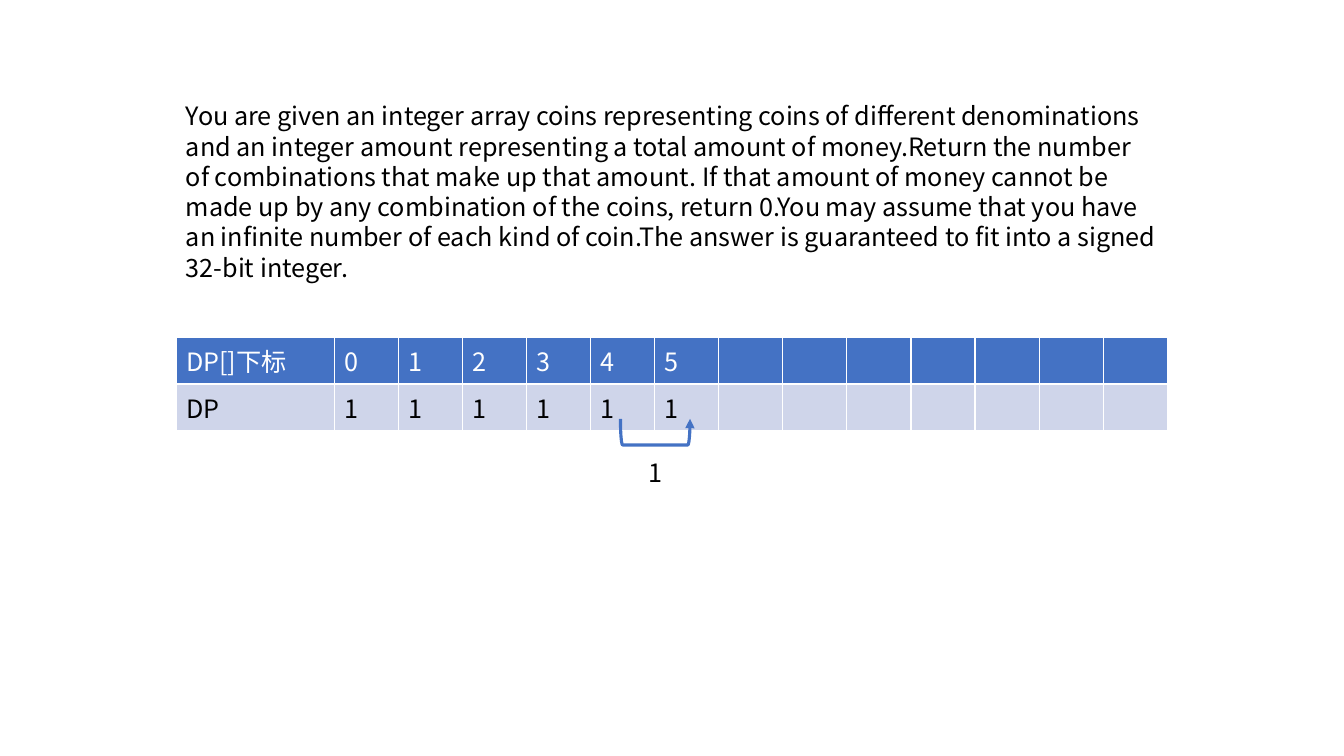
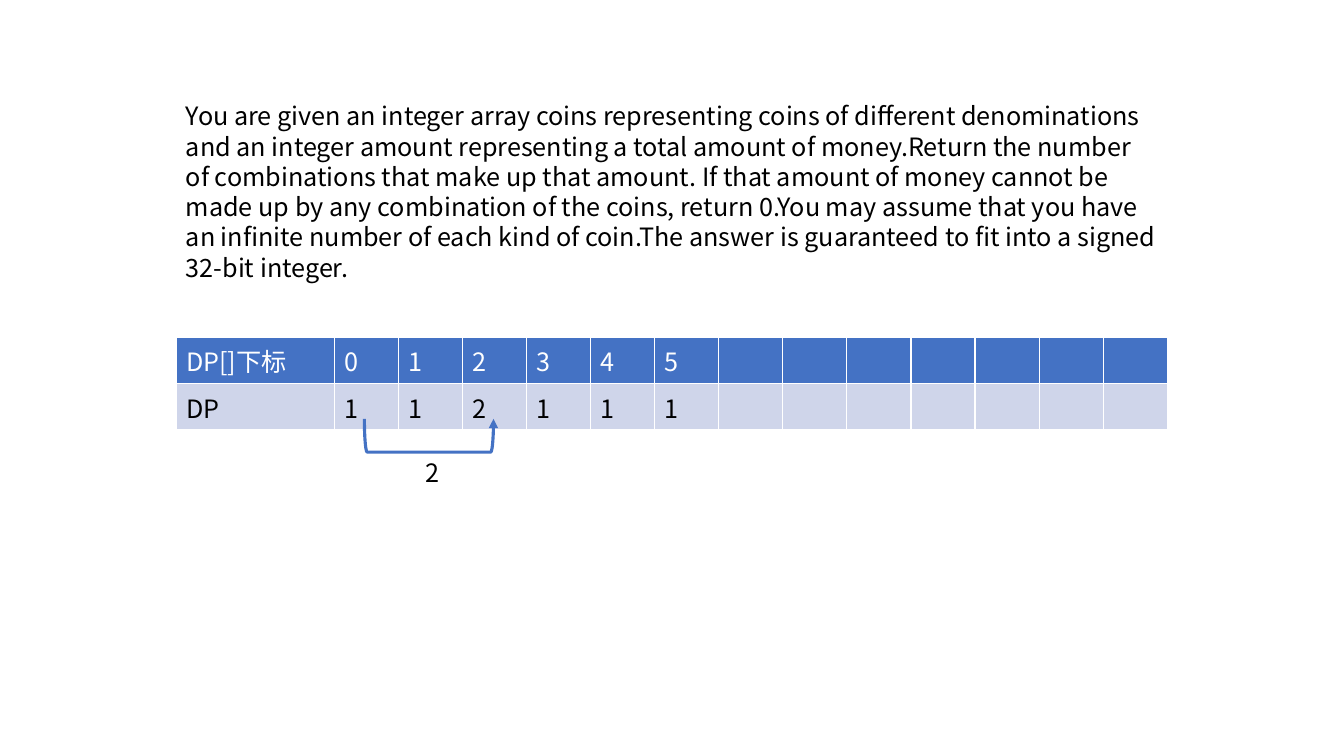
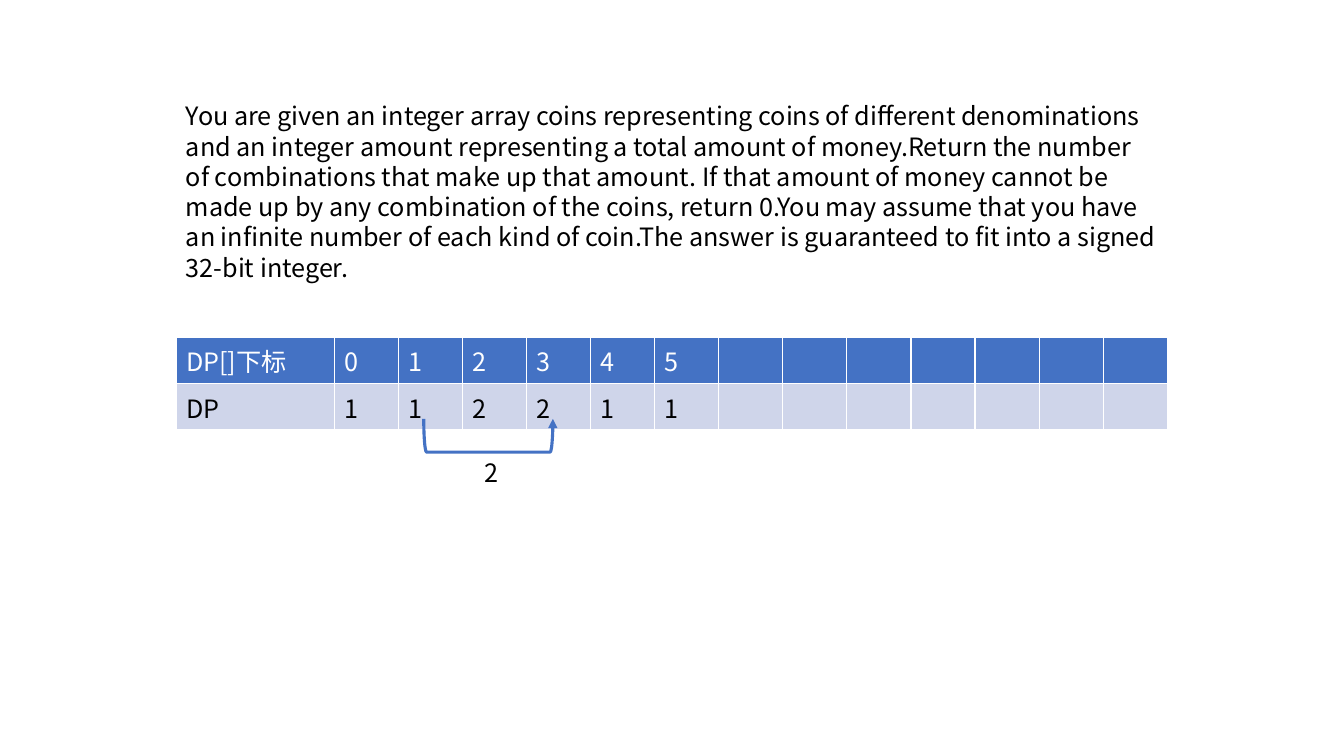
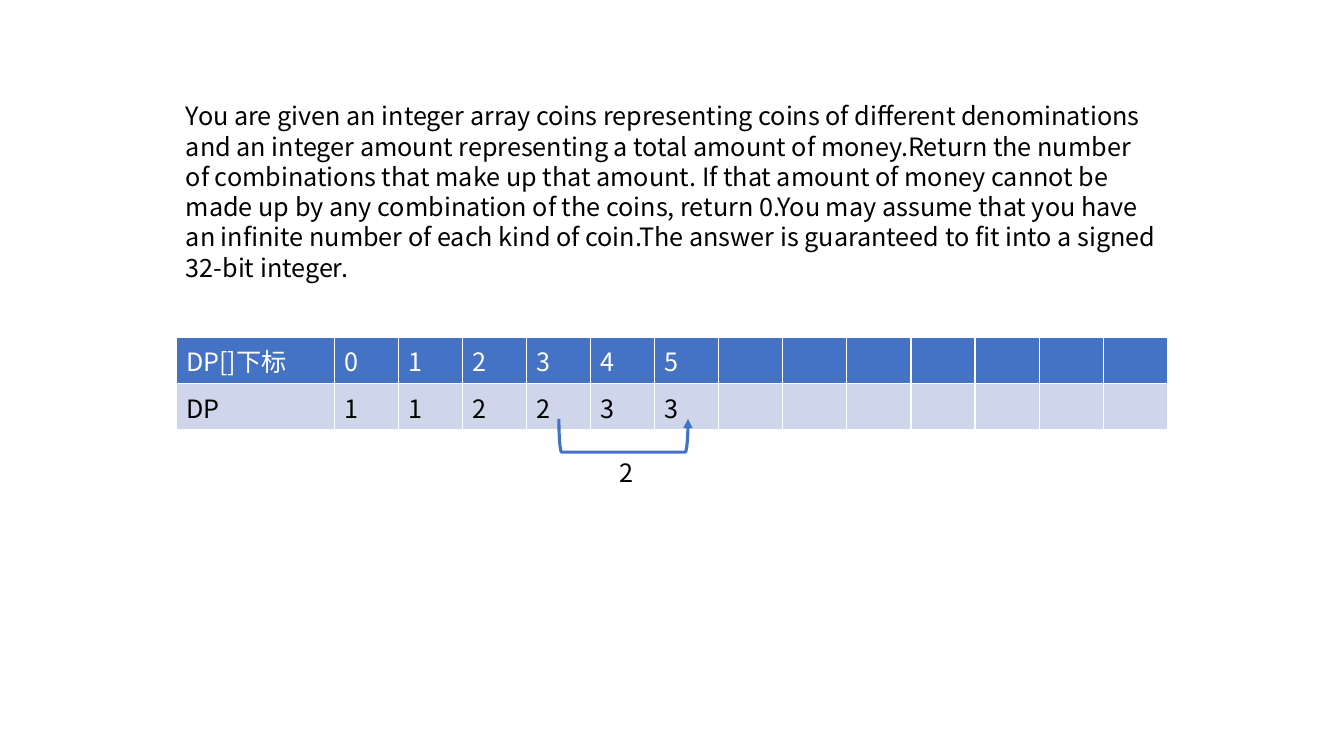
from dataclasses import dataclass

from lxml.etree import SubElement
from pptx import Presentation
from pptx.dml.color import RGBColor
from pptx.enum.shapes import MSO_SHAPE as Shape
from pptx.enum.text import MSO_AUTO_SIZE as AutoSize
from pptx.oxml.ns import qn
from pptx.util import Pt

COLOURS = {"accent": "4472C4", "band": "CFD5EA", "white": "FFFFFF", "black": "000000"}
FONT = "Noto Sans CJK SC"
TEXT_SIZE = 18
LEFT, WIDTH = 125.7, 708.5
INDEX_COUNT = 13
CAPTION_WIDTH = 113
ROW_HEIGHT = 33.1
BRACKET_TOP = 299.2

PROBLEM = (
    "You are given an integer array coins representing coins of different denominations "
    "and an integer amount representing a total amount of money.Return the number of "
    "combinations that make up that amount. If that amount of money cannot be made up by "
    "any combination of the coins, return 0.You may assume that you have an infinite "
    "number of each kind of coin.The answer is guaranteed to fit into a signed 32-bit integer."
)


@dataclass
class Step:
    counts: str
    coin: str
    centre: float
    span: float
    depth: float
    coin_left: float


STEPS = [
    Step("111111", "1", 468, 49.7, 18.7, 455.8),
    Step("112111", "2", 306.4, 92.2, 23.8, 296.6),
    Step("112211", "2", 348.8, 92.2, 23.8, 339.1),
    Step("112233", "2", 445.3, 92.2, 23.8, 435.6),
]


def rgb(name):
    return RGBColor.from_string(COLOURS[name])


class Deck:
    def __init__(self):
        self.prs = Presentation()
        self.prs.slide_width, self.prs.slide_height = Pt(960), Pt(540)
        self.slide = None

    def new_slide(self):
        self.slide = self.prs.slides.add_slide(self.prs.slide_layouts[6])

    def style(self, paragraph, colour):
        for run in paragraph.runs:
            run.font.size = Pt(TEXT_SIZE)
            run.font.name = FONT
            run.font.color.rgb = rgb(colour)
            SubElement(run.font._element, qn("a:ea"), typeface=FONT)

    def text(self, words, left, top, width, height):
        box = self.slide.shapes.add_textbox(Pt(left), Pt(top), Pt(width), Pt(height))
        frame = box.text_frame
        frame.word_wrap = True
        frame.auto_size = AutoSize.SHAPE_TO_FIT_TEXT
        frame.text = words
        self.style(frame.paragraphs[0], "black")

    def border(self, cell):
        properties = cell._tc.get_or_add_tcPr()
        for position, side in enumerate(("lnL", "lnR", "lnT", "lnB")):
            line = SubElement(properties, qn(f"a:{side}"), w=str(Pt(1)))
            fill = SubElement(line, qn("a:solidFill"))
            SubElement(fill, qn("a:srgbClr"), val=COLOURS["white"])
            properties.insert(position, line)

    def table(self, rows, top):
        table = self.slide.shapes.add_table(
            len(rows), INDEX_COUNT + 1, Pt(LEFT), Pt(top), Pt(WIDTH), Pt(ROW_HEIGHT * len(rows))
        ).table
        for number, column in enumerate(table.columns):
            column.width = Pt((WIDTH - CAPTION_WIDTH) / INDEX_COUNT if number else CAPTION_WIDTH)
        looks = [("accent", "white"), ("band", "black")]
        for row, words, (fill, ink) in zip(table.rows, rows, looks):
            row.height = Pt(ROW_HEIGHT)
            for number, cell in enumerate(row.cells):
                cell.fill.solid()
                cell.fill.fore_color.rgb = rgb(fill)
                self.border(cell)
                if number < len(words):
                    cell.text_frame.text = words[number]
                    self.style(cell.text_frame.paragraphs[0], ink)

    def bracket(self, centre, top, span, depth):
        middle = top + depth / 2
        bracket = self.slide.shapes.add_shape(
            Shape.LEFT_BRACKET, Pt(centre - depth / 2), Pt(middle - span / 2), Pt(depth), Pt(span)
        )
        bracket.rotation = 270
        bracket.element.spPr.find(qn("a:xfrm")).set("flipV", "1")
        bracket.shadow.inherit = False
        bracket.fill.background()
        bracket.line.color.rgb = rgb("accent")
        bracket.line.width = Pt(2.25)
        SubElement(bracket.line._get_or_add_ln(), qn("a:tailEnd"), type="triangle")


def main():
    deck = Deck()
    for step in STEPS:
        deck.new_slide()
        deck.table([["DP[]下标", *"012345"], ["DP", *step.counts]], 241)
        deck.text(PROBLEM, LEFT, 68.4, WIDTH, 116.6)
        deck.bracket(step.centre, BRACKET_TOP, step.span, step.depth)
        deck.text(step.coin, step.coin_left, 323.3, 24.5, 28.8)
    deck.prs.save("out.pptx")


if __name__ == "__main__":
    main()
